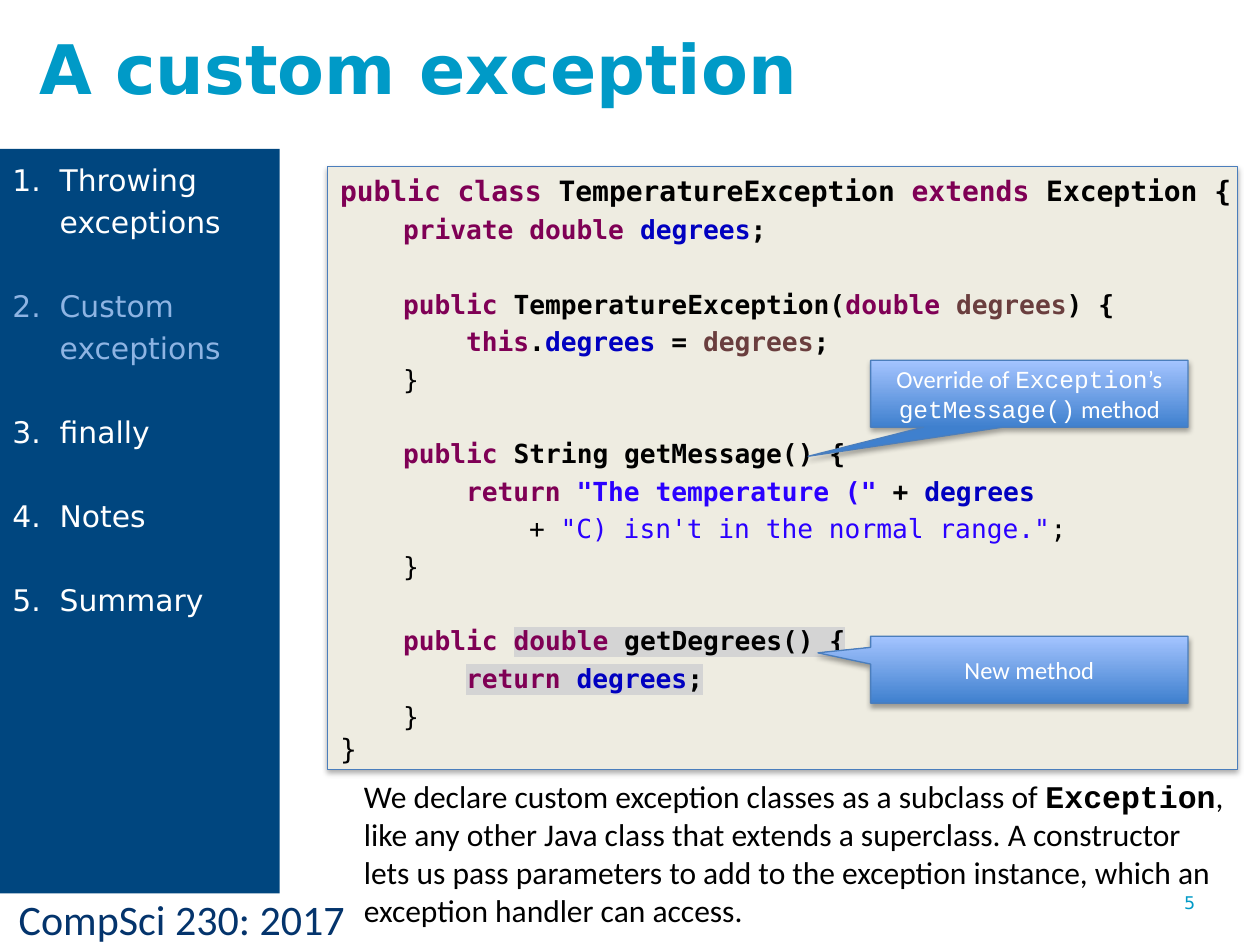
import pptx
import pptx.dml.color
import pptx.enum.shapes
import pptx.enum.text
import pptx.oxml.ns
import pptx.util
from lxml import etree

Pt = pptx.util.Pt
RGB = pptx.dml.color.RGBColor
SHAPE = pptx.enum.shapes.MSO_SHAPE
ALIGN = pptx.enum.text.PP_ALIGN
ANCHOR = pptx.enum.text.MSO_ANCHOR
qn = pptx.oxml.ns.qn

BLACK = RGB(0x00, 0x00, 0x00)
WHITE = RGB(0xFF, 0xFF, 0xFF)
CYAN = RGB(0x00, 0x9A, 0xC7)
NAVY = RGB(0x04, 0x34, 0x6C)
BLUE = RGB(0x00, 0x46, 0x7F)
PALE = RGB(0x8E, 0xB4, 0xE3)
CREAM = RGB(0xEE, 0xEC, 0xE1)
EDGE = RGB(0x4B, 0x7E, 0xBC)
DEEP = RGB(0x3F, 0x80, 0xCE)
LIGHT = RGB(0xA4, 0xC4, 0xFF)
KEY = RGB(0x7F, 0x00, 0x55)
FIELD = RGB(0x00, 0x00, 0xC0)
PARAM = RGB(0x6A, 0x3E, 0x3E)
QUOTE = RGB(0x2A, 0x00, 0xFF)
GREY = RGB(0xD4, 0xD4, 0xD4)

SANS, MONO = "DejaVu Sans", "DejaVu Sans Mono"
BODY, FIXED = "Calibri", "Courier New"


def node(parent, tag, **attrs):
    return etree.SubElement(parent, qn(tag), {k: str(v) for k, v in attrs.items()})


def write(frame, text, first=False, align=ALIGN.LEFT, before=0, line=None,
          indent=0, number=False, **base):
    """Add a paragraph; text is a string or a list of (string, run format) pairs."""
    para = frame.paragraphs[0] if first else frame.add_paragraph()
    para.alignment = align
    para.space_before = Pt(before)
    if line:
        para.line_spacing = Pt(line)
    props = para._p.get_or_add_pPr()
    props.set("marL", str(Pt(indent)))
    props.set("indent", str(Pt(-indent if number else 0)))
    if number:
        node(props, "a:buFont", typeface="+mj-lt")
        node(props, "a:buAutoNum", type="arabicPeriod")
    for part, extra in [(text, {})] if isinstance(text, str) else text:
        style(para.add_run(), part, **{**base, **extra})


def style(run, text, font=BODY, size=18, color=BLACK, bold=False, mark=None):
    run.text = text
    run.font.name = font
    run.font.size = Pt(size)
    run.font.bold = bold
    run.font.color.rgb = color
    if mark:
        glow = etree.Element(qn("a:highlight"))
        node(glow, "a:srgbClr", val=mark)
        run._r.rPr.find(qn("a:solidFill")).addnext(glow)


class Deck:
    def __init__(self):
        self.file = pptx.Presentation()
        self.file.slide_width = Pt(720)
        self.file.slide_height = Pt(540)
        self.slide = self.file.slides.add_slide(self.file.slide_layouts[5])

    def title(self, text, x, y, w, h):
        head = self.slide.shapes.title
        head.left, head.top, head.width, head.height = map(Pt, (x, y, w, h))
        head.text_frame.word_wrap = True
        write(head.text_frame, text, first=True, font=SANS, size=39,
              color=CYAN, bold=True)

    def text(self, x, y, w, h, wrap=True):
        frame = self.slide.shapes.add_textbox(*map(Pt, (x, y, w, h))).text_frame
        frame.word_wrap = wrap
        return frame

    def box(self, x, y, w, h, fill, kind=SHAPE.RECTANGLE, raised=False):
        """Add a filled shape; a raised one has an outline and a soft shadow."""
        shape = self.slide.shapes.add_shape(kind, *map(Pt, (x, y, w, h)))
        shape.shadow.inherit = False
        shape.fill.solid()
        shape.fill.fore_color.rgb = fill
        shape.line.fill.background()
        shape.text_frame.word_wrap = True
        shape.text_frame.vertical_anchor = ANCHOR.TOP
        if raised:
            shape.line.color.rgb = EDGE
            shape.line.width = Pt(0.75)
            glow = node(shape._element.spPr.find(qn("a:effectLst")), "a:outerShdw",
                        blurRad=Pt(3.1), dist=Pt(1.8), dir=90 * 60000, rotWithShape=0)
            node(node(glow, "a:srgbClr", val=BLACK), "a:alpha", val=35000)
        return shape

    def callout(self, y, tip, text):
        shape = self.box(497.5, y, 181.4, 38.2, DEEP,
                         SHAPE.RECTANGULAR_CALLOUT, raised=True)
        shape.adjustments[0], shape.adjustments[1] = tip
        shape.fill.gradient()
        shape.fill.gradient_angle = 90
        for stop, color in zip(shape.fill.gradient_stops, (DEEP, LIGHT)):
            stop.color.rgb = color
        shape.text_frame.vertical_anchor = ANCHOR.MIDDLE
        write(shape.text_frame, text, first=True, align=ALIGN.CENTER,
              size=14, color=WHITE)


def ink(color, **extra):
    return {"color": color, **extra}


WORD, NAME, ARG, TEXT = ink(KEY), ink(FIELD), ink(PARAM), ink(QUOTE)
THIN = {"bold": False}
LIT = {"mark": GREY}
CLOSE = [("}", THIN)]

# Each block of code is a list of (depth, runs); a gap parts the blocks.
BLOCKS = [
    [(1, [("private double ", WORD), ("degrees", NAME), (";", {})])],
    [(1, [("public ", WORD), ("TemperatureException(", {}), ("double ", WORD),
          ("degrees", ARG), (") {", {})]),
     (2, [("this", WORD), (".", {}), ("degrees ", NAME), ("= ", {}),
          ("degrees", ARG), (";", {})]),
     (1, CLOSE)],
    [(1, [("public", WORD), (" String getMessage() {", {})]),
     (2, [("return ", WORD), ('"The temperature ("', TEXT), (" + ", {}),
          ("degrees", NAME)]),
     (3, [("+ ", THIN), ('"C) isn\'t in the normal range."', ink(QUOTE, **THIN)),
          (";", THIN)]),
     (1, CLOSE)],
    [(1, [("public ", WORD), ("double", ink(KEY, **LIT)),
          (" getDegrees() {", LIT)]),
     (2, [("return", ink(KEY, **LIT)), (" ", LIT), ("degrees", ink(FIELD, **LIT)),
          (";", LIT)]),
     (1, CLOSE)],
]
TOPICS = ["Throwing exceptions", "Custom exceptions", "finally", "Notes", "Summary"]
CURRENT = 1


def main():
    deck = Deck()
    deck.title("A custom exception", 15.1, 10.1, 513.4, 56.2)
    write(deck.text(3.6, 506.9, 291.6, 36), "CompSci 230: 2017", first=True,
          size=24, color=NAVY)
    write(deck.text(669.6, 506.2, 50.4, 37.4), "5", first=True,
          font=SANS, size=10, color=CYAN)

    deck.box(187.2, 95, 519.8, 344.9, CREAM, raised=True)
    code = deck.text(187.2, 95.8, 524.9, 344, wrap=False)
    write(code, [("public class ", WORD), ("TemperatureException ", {}),
                 ("extends", WORD), (" Exception {", {})],
          first=True, font=MONO, size=16, bold=True)
    for b, block in enumerate(BLOCKS):
        for i, (depth, runs) in enumerate(block):
            write(code, runs, before=24.5 if b and not i else 3.5,
                  indent=36 * depth, font=MONO, size=15, bold=True)
    write(code, "}", font=MONO, size=16)

    write(deck.text(200.9, 440.6, 506.2, 94.3), [
        ("We declare custom exception classes as a subclass of ", {}),
        ("Exception", {"font": FIXED, "bold": True}),
        (", like any other Java class that extends a superclass. A constructor "
         "lets us pass parameters to add to the exception instance, which an "
         "exception handler can access.", {})], first=True)

    deck.callout(205.9, (-0.697, 0.936), [
        ("Override of ", {}), ("Exception", {"font": FIXED}), ("’s ", {}),
        ("getMessage()", {"font": FIXED}), (" method", {})])
    deck.callout(363.6, (-0.666, -0.252), "New method")

    side = deck.box(0, 85, 159.8, 425.5, BLUE).text_frame
    for i, topic in enumerate(TOPICS):
        write(side, topic, first=not i, before=24 if i else 0, line=24, indent=27,
              number=True, font=SANS, size=17, color=PALE if i == CURRENT else WHITE)

    deck.file.save("out.pptx")


if __name__ == "__main__":
    main()
